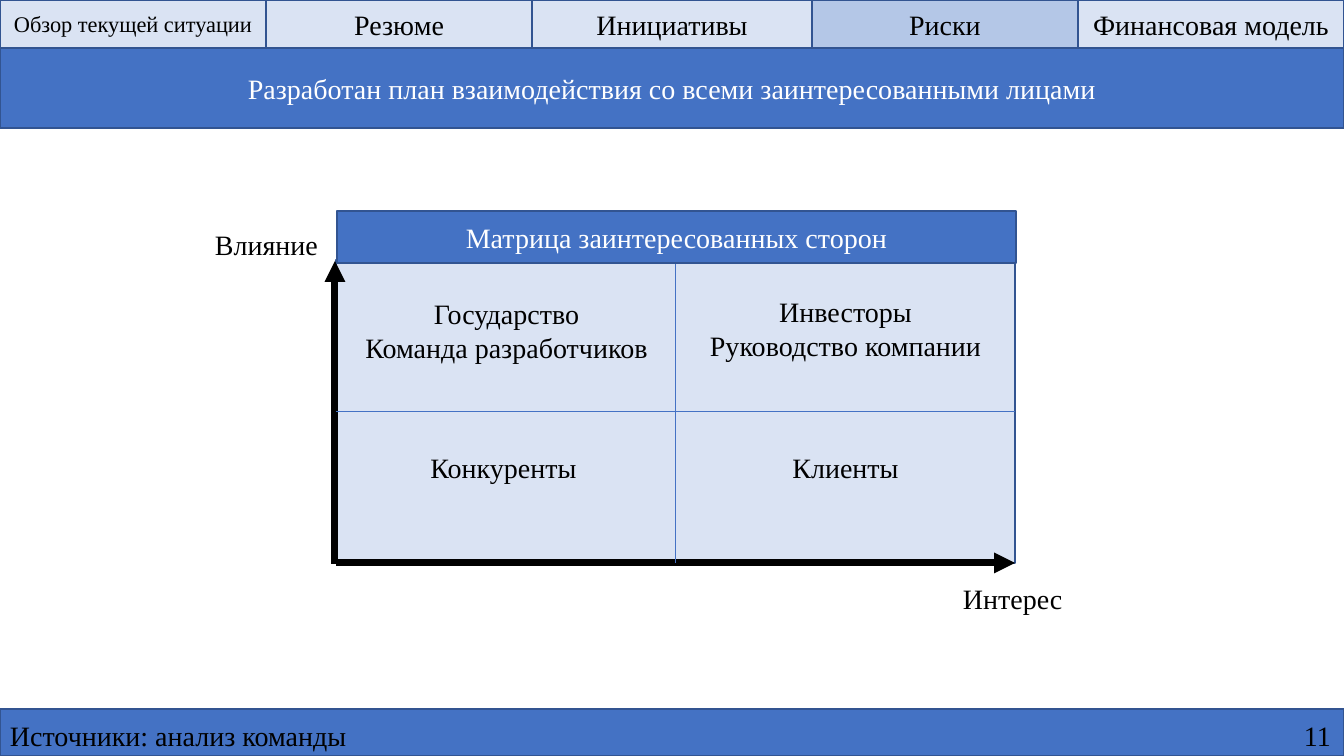
from itertools import accumulate
from lxml.etree import SubElement
from pptx import Presentation
from pptx.dml.color import RGBColor
from pptx.enum.shapes import MSO_CONNECTOR, MSO_SHAPE
from pptx.enum.text import MSO_ANCHOR, MSO_AUTO_SIZE, PP_ALIGN
from pptx.oxml.ns import qn
from pptx.util import Emu, Pt

BLUE = RGBColor(0x44, 0x72, 0xC4)
EDGE = RGBColor(0x32, 0x54, 0x91)
PALE = RGBColor(0xDA, 0xE3, 0xF3)
ACTIVE = RGBColor(0xB4, 0xC7, 0xE7)
BLACK = RGBColor(0, 0, 0)
WHITE = RGBColor(0xFF, 0xFF, 0xFF)
WIDTH, HEIGHT = 1344, 756


def px(n):
    """Turn pixels, 100.8 to the inch, into EMU."""
    return Emu(round(n * 914400 / 100.8))


class Deck:
    """Draw elements on the current slide in one style."""

    font = "Times New Roman"

    def __init__(self):
        """Open a presentation with one blank slide."""
        self.prs = Presentation()
        self.prs.slide_width, self.prs.slide_height = px(WIDTH), px(HEIGHT)
        self.s = self.prs.slides.add_slide(self.prs.slide_layouts[6])

    def set_text(self, tf, lines, color, size, align):
        """Fill a text frame, one paragraph for each line."""
        style = {"name": self.font, "size": Pt(size)}
        for i, line in enumerate(lines):
            p = tf.paragraphs[0] if i == 0 else tf.add_paragraph()
            p.alignment = align
            r = p.add_run()
            r.text = line
            r.font.color.rgb = color
            for key, value in style.items():
                setattr(r.font, key, value)

    def box(self, x, y, w, h, fill, text=None, color=BLACK, size=20):
        """Add an outlined rectangle with optional centred text."""
        sp = self.s.shapes.add_shape(MSO_SHAPE.RECTANGLE, *map(px, (x, y, w, h)))
        sp.shadow.inherit = False
        sp.fill.solid()
        sp.fill.fore_color.rgb = fill
        sp.line.color.rgb = EDGE
        sp.line.width = Pt(1)
        if text:
            sp.text_frame.vertical_anchor = MSO_ANCHOR.MIDDLE
            self.set_text(sp.text_frame, [text], color, size, PP_ALIGN.CENTER)
        return sp

    def label(self, x, y, w, h, *lines, align=PP_ALIGN.LEFT, wrap=True):
        """Add a text box."""
        sp = self.s.shapes.add_textbox(*map(px, (x, y, w, h)))
        tf = sp.text_frame
        for key, value in {"word_wrap": wrap, "auto_size": MSO_AUTO_SIZE.SHAPE_TO_FIT_TEXT}.items():
            setattr(tf, key, value)
        self.set_text(tf, lines, BLACK, 20, align)

    def line(self, x1, y1, x2, y2, color, width, arrow=False):
        """Add a straight line, with an arrowhead at its end if asked."""
        c = self.s.shapes.add_connector(MSO_CONNECTOR.STRAIGHT, *map(px, (x1, y1, x2, y2)))
        c.line.color.rgb = color
        c.line.width = Pt(width)
        if arrow:
            SubElement(c.get_or_add_ln(), qn("a:tailEnd"), type="triangle")
        SubElement(c.element.spPr, qn("a:effectLst"))
        return c

    def divider(self, sp, x1, y1, x2, y2, sides):
        """Join the middles of two opposite sides of a rectangle."""
        c = self.line(x1, y1, x2, y2, BLUE, 0.5)
        c.begin_connect(sp, sides[0])
        c.end_connect(sp, sides[1])


def main():
    """Build the stakeholder matrix slide."""
    d = Deck()
    d.box(0, 709, WIDTH, 47, BLUE)
    d.label(0, 714, 1252, 44, "Источники: анализ команды")
    d.label(1294, 714, 50, 44, "11")
    d.box(0, 48, WIDTH, 80, BLUE,
          "Разработан план взаимодействия со всеми заинтересованными лицами", WHITE)

    left, top, w, h = 336, 260, 679, 303
    right, bottom = left + w, top + h
    mid_x, mid_y = left + w // 2, top + h // 2
    matrix = d.box(left, top, w, h, PALE)
    d.line(left - 1, bottom + 1, left - 1, top + 1, BLACK, 5, arrow=True)
    d.line(left, bottom, right, bottom, BLACK, 5, arrow=True)
    d.divider(matrix, left, mid_y, right, mid_y, (1, 3))
    d.divider(matrix, mid_x, top, mid_x, bottom, (0, 2))
    d.label(205, 223, 126, 44, "Влияние", wrap=False)
    d.label(953, 577, 123, 44, "Интерес", wrap=False)

    quadrants = [
        (336, 292, 77, ("Государство", "Команда разработчиков")),
        (675, 290, 77, ("Инвесторы", "Руководство компании")),
        (333, 446, 44, ("Конкуренты",)),
        (675, 446, 44, ("Клиенты",)),
    ]
    for x, y, height, names in quadrants:
        d.label(x, y, 341, height, *names, align=PP_ALIGN.CENTER)
    d.box(337, 211, w, 52, BLUE, "Матрица заинтересованных сторон", WHITE)

    tabs = [
        ("Обзор текущей ситуации", 266, PALE, 16),
        ("Резюме", 266, PALE, 20),
        ("Инициативы", 280, PALE, 20),
        ("Риски", 266, ACTIVE, 20),
        ("Финансовая модель", 266, PALE, 20),
    ]
    starts = accumulate((tab[1] for tab in tabs), initial=0)
    for x, (text, width, fill, size) in zip(starts, tabs):
        d.box(x, 0, width, 48, fill, text, size=size)
    d.prs.save("out.pptx")


if __name__ == "__main__":
    main()
